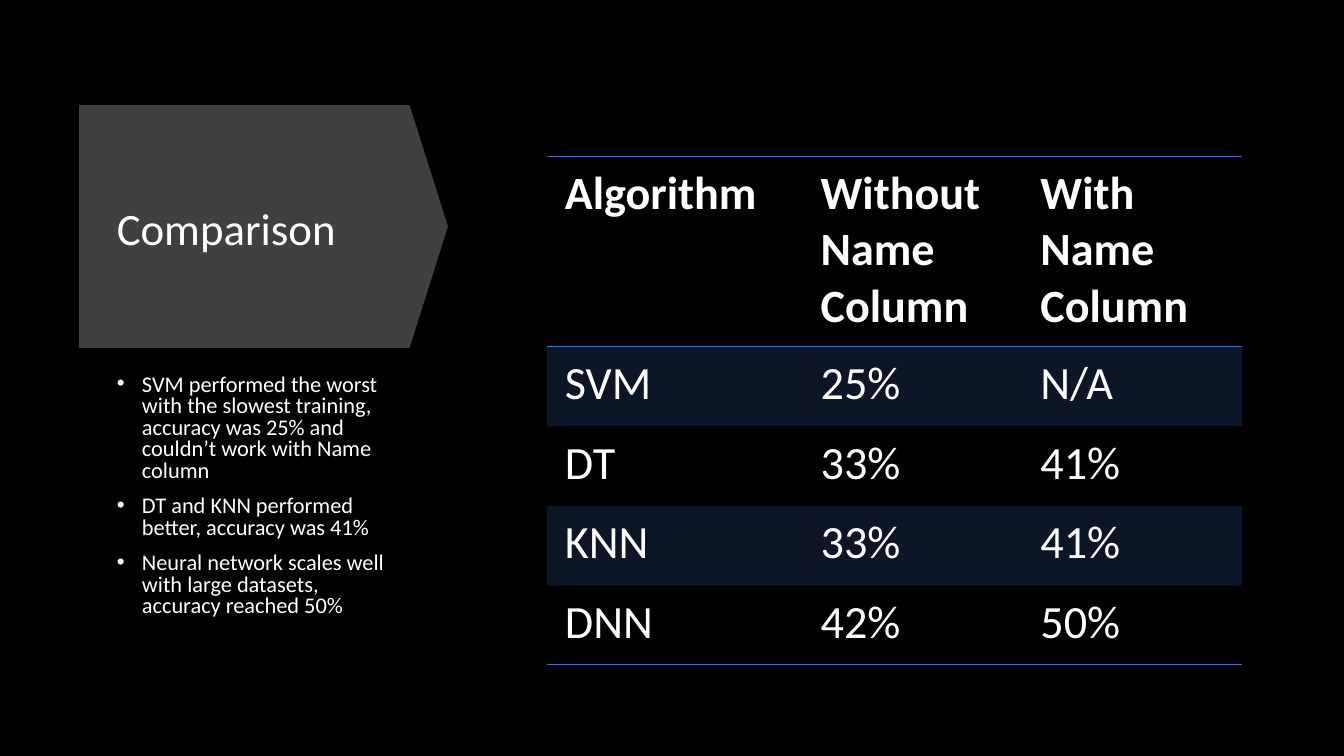
from dataclasses import dataclass

from lxml.etree import SubElement
from pptx import Presentation
from pptx.dml.color import RGBColor as RGB
from pptx.enum.shapes import MSO_SHAPE as SHAPE
from pptx.enum.text import MSO_ANCHOR as ANCHOR
from pptx.oxml import parse_xml
from pptx.oxml.ns import nsdecls, qn
from pptx.util import Pt


@dataclass(frozen=True)
class Theme:
    font: str = "Calibri"
    background: str = "000000"
    banner: str = "404040"
    text: str = "FFFFFF"
    accent: str = "4472C4"
    band_alpha: int = 20000
    title_size: int = 32
    body_size: int = 16
    table_size: int = 33
    table_style: str = "{2D5ABB26-0587-4C30-8999-92F81FD0307C}"


class SlideBuilder:
    def __init__(self, s, theme):
        self.s = s
        self.theme = theme
        fill = s.background.fill
        fill.solid()
        fill.fore_color.rgb = RGB.from_string(theme.background)

    def style_runs(self, p, size, bold=False):
        for r in p.runs:
            r.font.name = self.theme.font
            r.font.size = Pt(size)
            r.font.bold = bold
            r.font.color.rgb = RGB.from_string(self.theme.text)

    def banner(self, x, y, w, h):
        sp = self.s.shapes.add_shape(SHAPE.DOWN_ARROW, Pt(x), Pt(y), Pt(w), Pt(h))
        sp.shadow.inherit = False
        sp.rotation = 270
        sp.adjustments[0] = 1
        sp.adjustments[1] = 0.158
        sp.fill.solid()
        sp.fill.fore_color.rgb = RGB.from_string(self.theme.banner)
        sp.line.fill.background()

    def text(self, x, y, w, h, lines, size, spacing, anchor=ANCHOR.TOP, bullets=False):
        tf = self.s.shapes.add_textbox(Pt(x), Pt(y), Pt(w), Pt(h)).text_frame
        tf.word_wrap = True
        tf.vertical_anchor = anchor
        tf.text = "\n".join(lines)
        for p in tf.paragraphs:
            p.line_spacing = spacing
            self.style_runs(p, size)
            if bullets:
                p.space_before = Pt(10)
                self.bullet(p)

    def bullet(self, p):
        pPr = p._p.get_or_add_pPr()
        pPr.set("marL", str(Pt(18)))
        pPr.set("indent", str(-Pt(18)))
        SubElement(pPr, qn("a:buFont")).set("typeface", "Arial")
        SubElement(pPr, qn("a:buChar")).set("char", "•")

    def border(self, cell, side):
        ln = parse_xml(
            f'<a:{side} {nsdecls("a")} w="{Pt(1)}"><a:solidFill>'
            f'<a:srgbClr val="{self.theme.accent}"/></a:solidFill></a:{side}>'
        )
        tcPr = cell._tc.get_or_add_tcPr()
        tcPr.insert(len(tcPr.findall(qn("a:lnT"))), ln)

    def band(self, cell):
        cell.fill.solid()
        cell.fill.fore_color.rgb = RGB.from_string(self.theme.accent)
        color = cell._tc.tcPr.find(".//" + qn("a:srgbClr"))
        SubElement(color, qn("a:alpha")).set("val", str(self.theme.band_alpha))

    def table(self, x, y, widths, heights, data):
        frame = self.s.shapes.add_table(
            len(data), len(widths), Pt(x), Pt(y), Pt(sum(widths)), Pt(sum(heights))
        )
        table = frame.table
        table.horz_banding = False
        table._tbl.tblPr.find(qn("a:tableStyleId")).text = self.theme.table_style
        for column, width in zip(table.columns, widths):
            column.width = Pt(width)
        for row, height in zip(table.rows, heights):
            row.height = Pt(height)
        last = len(data) - 1
        for i, values in enumerate(data):
            for j, value in enumerate(values):
                cell = table.cell(i, j)
                cell.text_frame.text = value
                cell.margin_left = cell.margin_right = Pt(13)
                cell.margin_top = cell.margin_bottom = Pt(6.5)
                self.style_runs(cell.text_frame.paragraphs[0], self.theme.table_size, i == 0)
                if i % 2:
                    self.band(cell)
                else:
                    cell.fill.background()
                if i == 0:
                    self.border(cell, "lnT")
                if i in (0, last):
                    self.border(cell, "lnB")


def main():
    prs = Presentation()
    prs.slide_width, prs.slide_height = Pt(960), Pt(540)
    theme = Theme()
    slide = SlideBuilder(prs.slides.add_slide(prs.slide_layouts[6]), theme)

    slide.banner(101.5, 30, 173.5, 263.5)
    slide.text(76.3, 95, 210.2, 140.4, ["Comparison"], theme.title_size, 0.9, ANCHOR.MIDDLE)
    findings = [
        "SVM performed the worst with the slowest training, accuracy was 25% "
        "and couldn’t work with Name column",
        "DT and KNN performed better, accuracy was 41%",
        "Neural network scales well with large datasets, accuracy reached 50%",
    ]
    slide.text(76.3, 264.2, 210.2, 190.8, findings, theme.body_size, 0.8, bullets=True)
    results = [
        ("Algorithm", "Without Name Column", "With Name Column"),
        ("SVM", "25%", "N/A"),
        ("DT", "33%", "41%"),
        ("KNN", "33%", "41%"),
        ("DNN", "42%", "50%"),
    ]
    slide.table(390.5, 111.6, [182.7, 157, 157], [136.2] + [56.8] * 4, results)
    prs.save("out.pptx")


if __name__ == "__main__":
    main()
